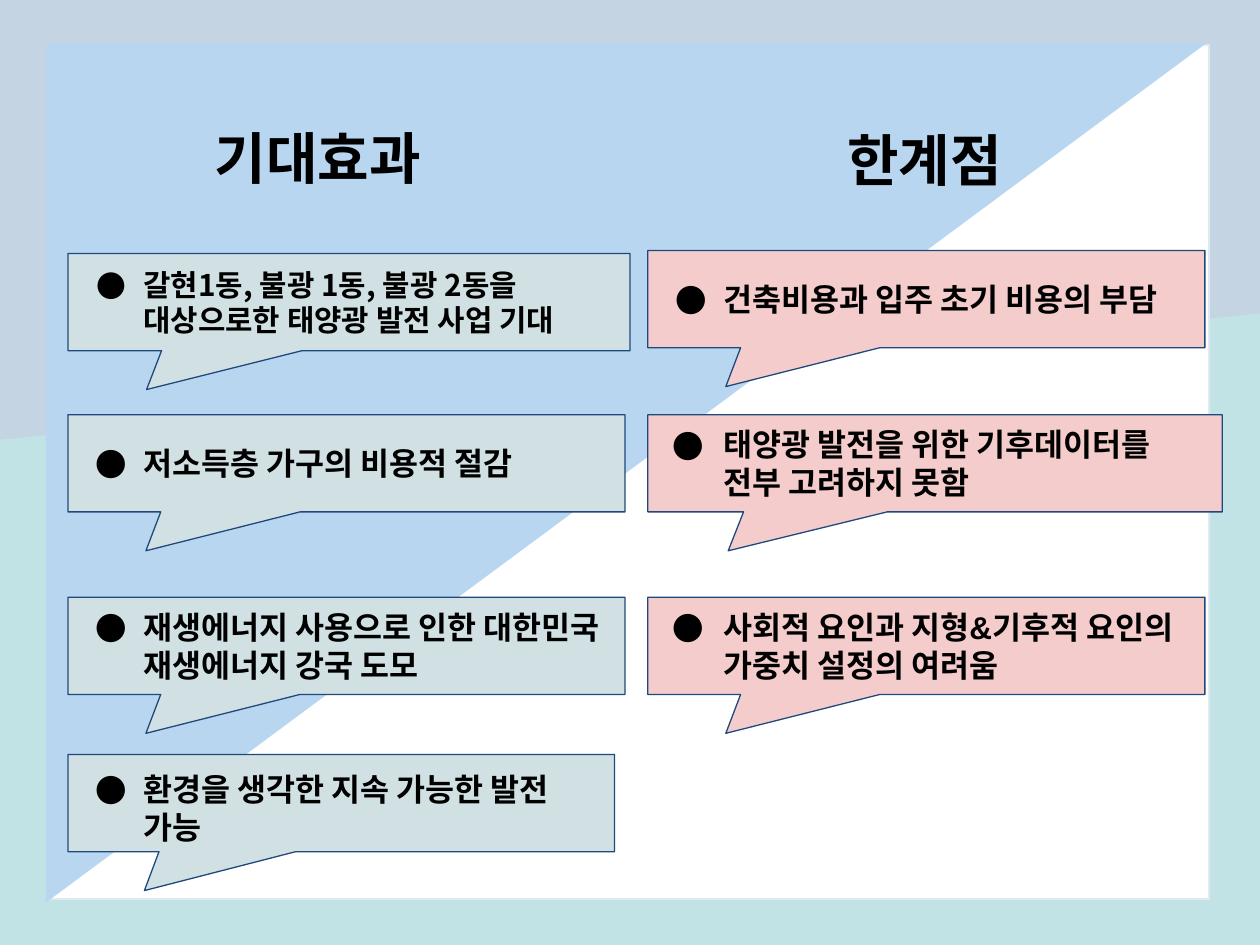
from lxml import etree
from pptx import Presentation
from pptx.dml.color import RGBColor
from pptx.enum import shapes, text
from pptx.oxml import ns
from pptx.util import Cm, Pt

KOREAN = "Noto Sans CJK KR"
SHAPE = shapes.MSO_SHAPE

# kind, (left, top, width, height) in cm, fill, line, rotation
BACKDROP = [
    (SHAPE.RECTANGLE, (0, 0, 25.4, 19.05), "C4D4E2", None, 0),
    (SHAPE.FLOWCHART_MANUAL_INPUT, (0, 6.32, 25.4, 12.73), "C1E3E5", None, 0),
    (SHAPE.ROUNDED_RECTANGLE, (0.99, 0.91, 23.39, 17.22), "FFFFFF", "E0E8F0", 0),
    (SHAPE.RIGHT_TRIANGLE, (3.96, -2.16, 17.32, 23.39), "B9D6F0", None, 90),
]
# placeholder index, heading, frame, right inset
HEADINGS = [
    (1, "기대효과", (0.97, 0.94, 11.86, 17.17), 1.24),
    (3, "한계점", (12.85, 0.97, 11.58, 17.35), 0.25),
]
# left, fill, then per callout: top, width, hanging indent, size, font, top inset, wording
COLUMNS = [
    (1.37, "D0E0E3", [
        (5.11, 11.33, 0.94, 17, KOREAN, 0.25, "갈현1동, 불광 1동, 불광 2동을 대상으로한 태양광 발전 사업 기대"),
        (8.36, 11.23, 0.97, 18, KOREAN, 0.25, "저소득층 가구의 비용적 절감"),
        (12.04, 11.23, 0.97, 18, KOREAN, 0.25, "재생에너지 사용으로 인한 대한민국 재생에너지 강국 도모"),
        (15.21, 11.02, 0.97, 18, KOREAN, 0.45, "환경을 생각한 지속 가능한 발전 가능"),
    ]),
    (13.06, "F4CCCC", [
        (5.05, 11.23, 0.97, 18, KOREAN, 0.25, "건축비용과 입주 초기 비용의 부담"),
        (8.36, 11.58, 1.02, 18, KOREAN, 0.25, "태양광 발전을 위한 기후데이터를 전부 고려하지 못함"),
        (12.04, 11.23, 1.02, 18, "Arial", 0.25, "사회적 요인과 지형&기후적 요인의 가중치 설정의 여려움"),
    ]),
]
CALLOUT_HEIGHT = 1.96
INDENT = 1.27
INSET = 0.25


def color(hex_code):
    return RGBColor.from_string(hex_code)


def add_figure(page, kind, frame, fill, line=None, width=1):
    figure = page.shapes.add_shape(kind, *map(Cm, frame))
    figure.shadow.inherit = False
    figure.fill.solid()
    figure.fill.fore_color.rgb = color(fill)
    if line:
        figure.line.color.rgb = color(line)
        figure.line.width = Pt(width)
    else:
        figure.line.fill.background()
    return figure


def write(box, wording, size, font, align, anchor, top=INSET, right=INSET):
    frame = box.text_frame
    frame.text = wording
    frame.word_wrap = True
    frame.auto_size = text.MSO_AUTO_SIZE.NONE
    frame.vertical_anchor = anchor
    frame.margin_left = frame.margin_bottom = Cm(INSET)
    frame.margin_top, frame.margin_right = Cm(top), Cm(right)
    para = frame.paragraphs[0]
    para.alignment = align
    para.space_before = Pt(0)
    span = para.runs[0]
    span.font.size = Pt(size)
    span.font.bold = True
    span.font.color.rgb = color("000000")
    span.font.name = font
    etree.SubElement(span.font._element, ns.qn("a:ea"), typeface=KOREAN)
    return para


def add_bullet(para, hanging):
    props = para._p.get_or_add_pPr()
    props.set("marL", str(Cm(INDENT)))
    props.set("indent", str(-Cm(hanging)))
    bullet_color = etree.SubElement(props, ns.qn("a:buClr"))
    etree.SubElement(bullet_color, ns.qn("a:srgbClr"), val="000000")
    etree.SubElement(props, ns.qn("a:buFont"), typeface=KOREAN)
    etree.SubElement(props, ns.qn("a:buChar"), char="●")


def main():
    deck = Presentation()
    deck.slide_width, deck.slide_height = Cm(25.4), Cm(19.05)
    page = deck.slides.add_slide(deck.slide_layouts.get_by_name("Comparison"))

    for kind, frame, fill, line, rotation in BACKDROP:
        figure = add_figure(page, kind, frame, fill, line)
        figure.rotation = rotation
        if kind == SHAPE.ROUNDED_RECTANGLE:
            figure.adjustments[0] = 0

    holders = {box.placeholder_format.idx: box for box in page.placeholders}
    for index, wording, frame, right in HEADINGS:
        box = holders.pop(index)
        box.left, box.top, box.width, box.height = map(Cm, frame)
        write(box, wording, 32, KOREAN, text.PP_ALIGN.CENTER,
              text.MSO_ANCHOR.TOP, top=1.55, right=right)
        box.element.getparent().append(box.element)  # in front of the backdrop
    for unused in holders.values():
        unused.element.getparent().remove(unused.element)

    for left, fill, callouts in COLUMNS:
        for top, width, hanging, size, font, inset, wording in callouts:
            callout = add_figure(page, SHAPE.ROUNDED_RECTANGULAR_CALLOUT,
                                 (left, top, width, CALLOUT_HEIGHT), fill, "1F497D", 0.75)
            for number, value in enumerate((-0.36, 0.9, 0)):
                callout.adjustments[number] = value
            para = write(callout, wording, size, font, text.PP_ALIGN.LEFT,
                         text.MSO_ANCHOR.MIDDLE, top=inset)
            add_bullet(para, hanging)

    deck.save("out.pptx")


if __name__ == "__main__":
    main()
